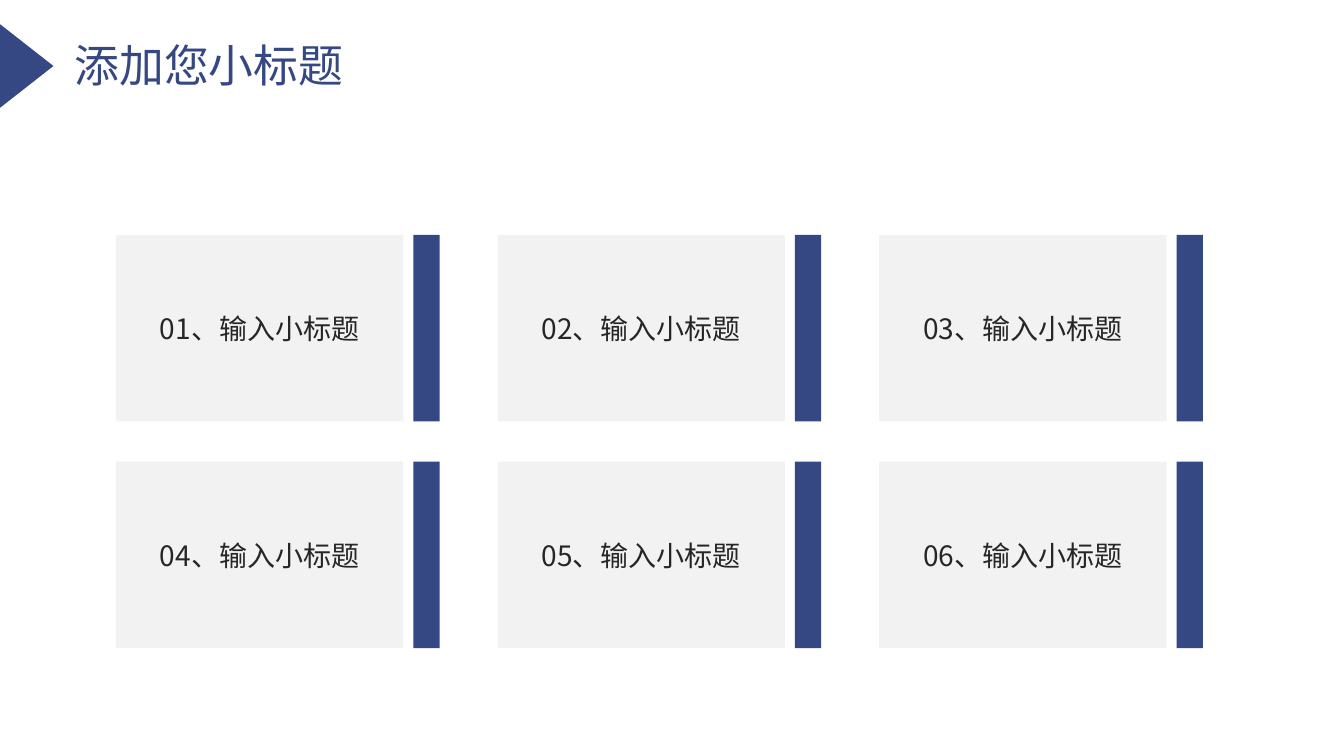
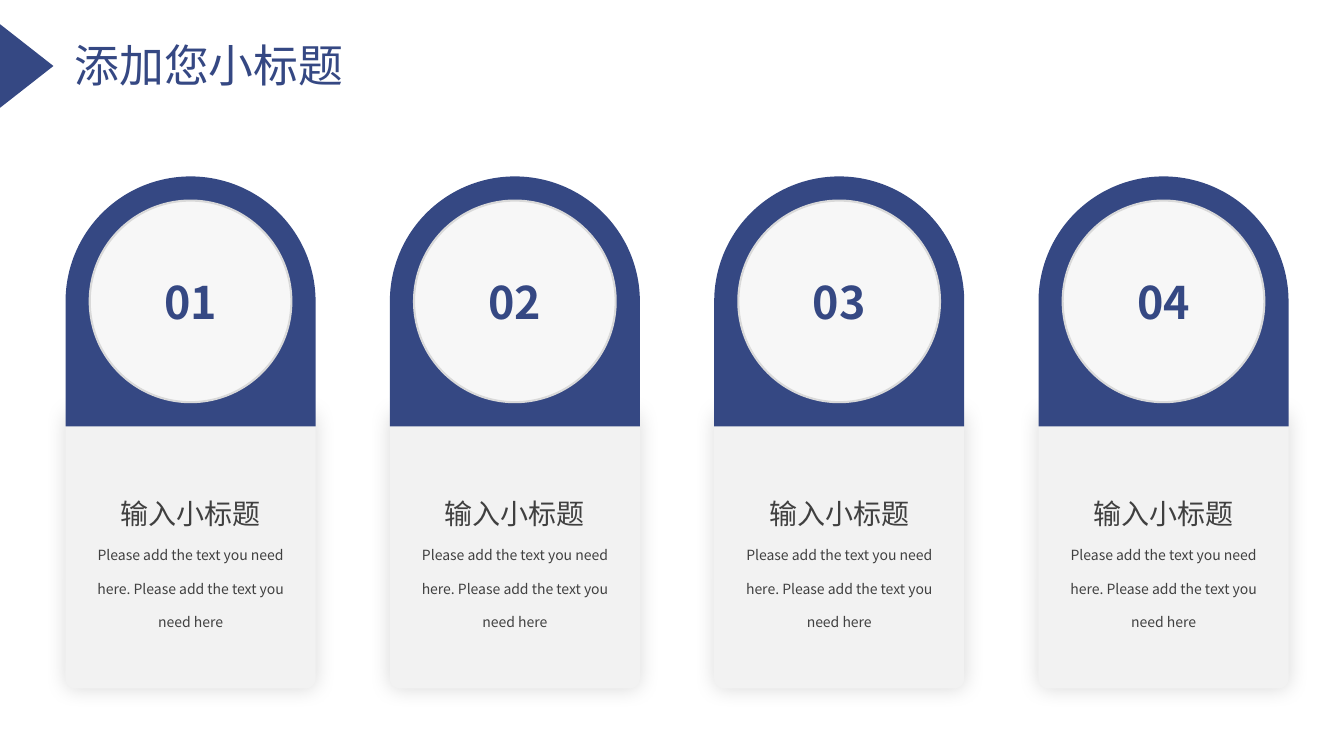
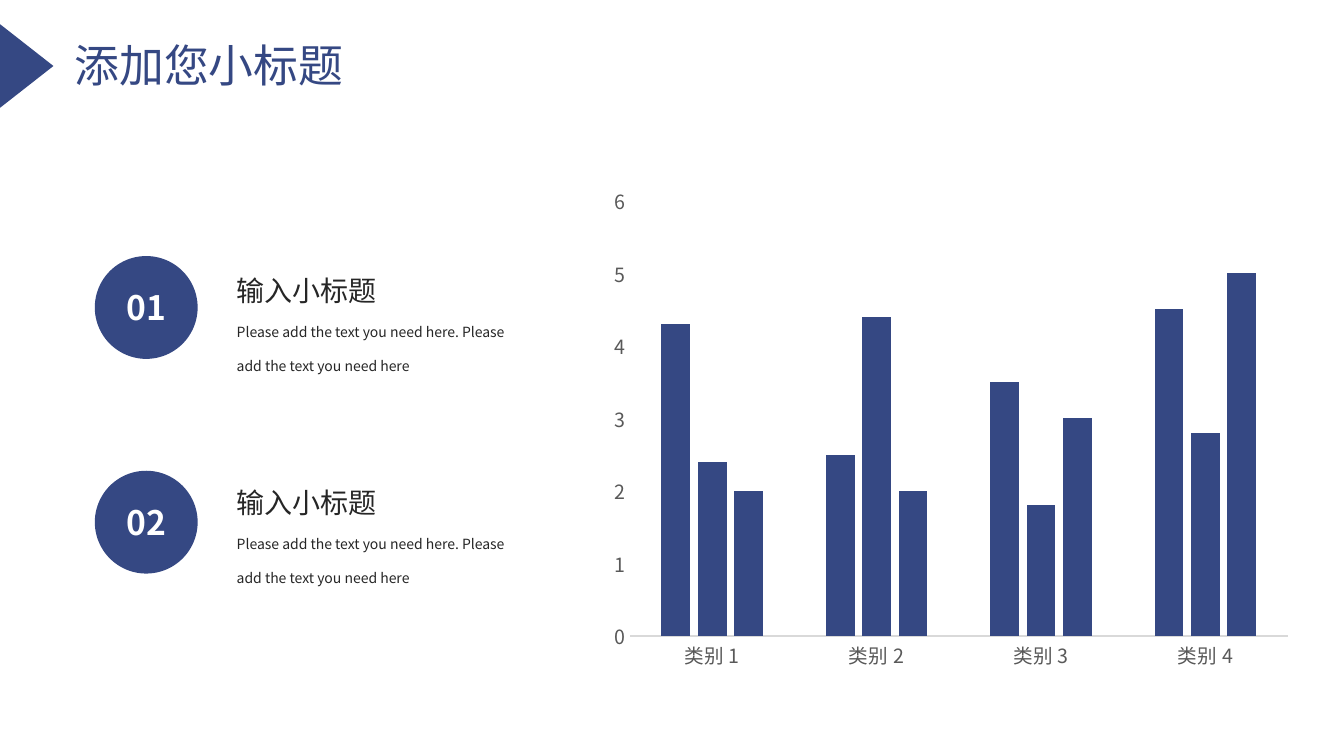
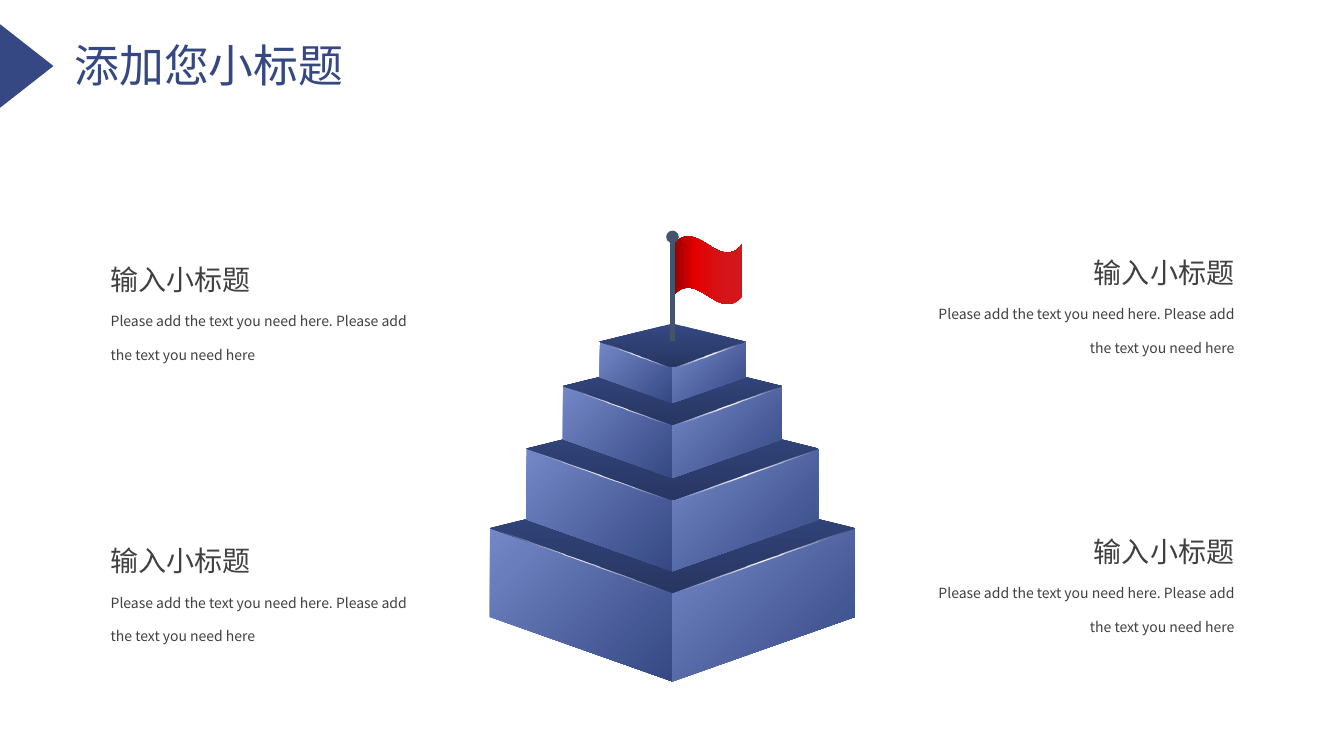
"""Build a four-slide business deck with cards, a column chart and a stepped pyramid."""
from dataclasses import dataclass

from lxml.etree import SubElement
from pptx import Presentation
from pptx.chart.data import CategoryChartData
from pptx.dml.color import RGBColor
from pptx.enum.chart import XL_CHART_TYPE, XL_TICK_MARK
from pptx.enum.shapes import MSO_CONNECTOR, MSO_SHAPE
from pptx.enum.text import MSO_ANCHOR, MSO_AUTO_SIZE, PP_ALIGN
from pptx.oxml import parse_xml
from pptx.oxml.ns import nsdecls, qn
from pptx.shapes.autoshape import Shape
from pptx.slide import Slide
from pptx.text.text import TextFrame
from pptx.util import Inches, Pt

FONT = "Noto Sans CJK SC"
NAVY = RGBColor(0x35, 0x48, 0x83)
DEEP_NAVY = RGBColor(0x28, 0x36, 0x62)
PERIWINKLE = RGBColor(0x74, 0x88, 0xC7)
SLATE = RGBColor(0x44, 0x54, 0x6A)
WHITE = RGBColor(0xFF, 0xFF, 0xFF)
PANEL_GRAY = RGBColor(0xF2, 0xF2, 0xF2)
DISC_GRAY = RGBColor(0xF7, 0xF7, 0xF7)
RULE_GRAY = RGBColor(0xD9, 0xD9, 0xD9)
AXIS_GRAY = RGBColor(0x59, 0x59, 0x59)
TEXT_GRAY = RGBColor(0x40, 0x40, 0x40)
TEXT_DARK = RGBColor(0x26, 0x26, 0x26)
FLAG_SHADE = RGBColor(0x96, 0x00, 0x00)
FLAG_RED = RGBColor(0xE2, 0x00, 0x00)
FLAG_EDGE = RGBColor(0xD4, 0x16, 0x1A)

TITLE = "添加您小标题"
HEADING = "输入小标题"
BODY = "Please add the text you need here. Please add the text you need here"


@dataclass(frozen=True)
class Area:
    """A rectangle in inches."""

    left: float
    top: float
    width: float
    height: float

    def lengths(self) -> tuple:
        """Return the four measures as lengths."""
        return tuple(Inches(n) for n in (self.left, self.top, self.width, self.height))


@dataclass(frozen=True)
class Stop:
    """A gradient stop with position and opacity in percent."""

    position: int
    color: RGBColor
    opacity: int = 100


@dataclass(frozen=True)
class Tier:
    """A pyramid step, its size relative to the lowest one."""

    back: float
    scale: float
    glint: float


TIERS = (Tier(4.79, 1, 1.81), Tier(4.09, 0.8, 1.43), Tier(3.56, 0.6, 1.06), Tier(3.21, 0.4, 0.64))
FACE = (Stop(0, PERIWINKLE), Stop(100, NAVY))
ROOF = (Stop(0, NAVY), Stop(100, DEEP_NAVY))
GLINT = (Stop(0, WHITE), Stop(100, WHITE, 0))
FLAG = (Stop(0, FLAG_SHADE), Stop(30, FLAG_RED), Stop(77, FLAG_EDGE))


def write(frame: TextFrame, text: str, *, size: int, color: RGBColor, bold: bool = False,
          align: PP_ALIGN = PP_ALIGN.LEFT, spacing: float = 1.0) -> None:
    """Add a formatted paragraph, using the first one while it is empty."""
    para = frame.add_paragraph() if frame.text else frame.paragraphs[0]
    para.alignment = align
    para.line_spacing = spacing
    span = para.add_run()
    span.text = text
    span.font.size = Pt(size)
    span.font.bold = bold
    span.font.color.rgb = color
    span.font.name = FONT
    SubElement(span.font._element, qn("a:ea"), typeface=FONT)


def add_text_box(page: Slide, area: Area) -> TextFrame:
    """Add a wrapping text box and return its frame."""
    frame = page.shapes.add_textbox(*area.lengths()).text_frame
    frame.word_wrap = True
    frame.auto_size = MSO_AUTO_SIZE.SHAPE_TO_FIT_TEXT
    return frame


def add_solid(shapes, kind: MSO_SHAPE, area: Area, color: RGBColor) -> Shape:
    """Add a plain filled preset shape."""
    shape = shapes.add_shape(kind, *area.lengths())
    shape.shadow.inherit = False
    shape.fill.solid()
    shape.fill.fore_color.rgb = color
    shape.line.fill.background()
    shape.text_frame.vertical_anchor = MSO_ANCHOR.MIDDLE
    return shape


def fill_gradient(shape: Shape, stops: tuple[Stop, ...], angle: int | None = None) -> None:
    """Fill a shape with a linear gradient, or a radial one without an angle."""
    marks = "".join(
        f'<a:gs pos="{stop.position * 1000}"><a:srgbClr val="{stop.color}">'
        f'<a:alpha val="{stop.opacity * 1000}"/></a:srgbClr></a:gs>'
        for stop in stops
    )
    if angle is None:
        course = ('<a:path path="circle"><a:fillToRect l="50000" t="50000" '
                  'r="50000" b="50000"/></a:path>')
    else:
        course = f'<a:lin ang="{angle * 60000}" scaled="0"/>'
    shape.fill.gradient()
    properties = shape.element.spPr
    properties.replace(
        properties.find(qn("a:gradFill")),
        parse_xml(f'<a:gradFill {nsdecls("a")} rotWithShape="1">'
                  f"<a:gsLst>{marks}</a:gsLst>{course}</a:gradFill>"),
    )


def add_glow(shape: Shape, *, blur: int, opacity: int) -> None:
    """Give a shape a soft black shadow on all sides."""
    effects = shape.element.spPr.find(qn("a:effectLst"))
    shadow = SubElement(effects, qn("a:outerShdw"), blurRad=str(Pt(blur)), dist="0", dir="0",
                        algn="ctr", rotWithShape="0")
    black = SubElement(shadow, qn("a:srgbClr"), val="000000")
    SubElement(black, qn("a:alpha"), val=str(opacity * 1000))


def add_page(deck: Presentation) -> Slide:
    """Add a blank slide with the shared title and pointer."""
    page = deck.slides.add_slide(deck.slide_layouts[6])
    write(add_text_box(page, Area(0.64, 0.33, 3.39, 0.64)), TITLE, size=32, color=NAVY)
    pointer = add_solid(page.shapes, MSO_SHAPE.ISOSCELES_TRIANGLE,
                        Area(-0.15, 0.39, 0.83, 0.53), NAVY)
    pointer.rotation = 90
    return page


def add_note(page: Slide, area: Area, *, color: RGBColor,
             align: PP_ALIGN = PP_ALIGN.LEFT) -> None:
    """Add a heading with body text below it."""
    frame = add_text_box(page, area)
    for text, size in ((HEADING, 20), (BODY, 10)):
        write(frame, text, size=size, color=color, align=align, spacing=2.0)


def add_contents(deck: Presentation) -> None:
    """Add the slide with a grid of numbered panels."""
    page = add_page(deck)
    column_pitch = (8.72 - 1.15) / 2
    for index in range(6):
        row, column = divmod(index, 3)
        left, top = 1.15 + column * column_pitch, 2.33 + row * 2.25
        panel = add_solid(page.shapes, MSO_SHAPE.RECTANGLE, Area(left, top, 2.85, 1.85), PANEL_GRAY)
        write(panel.text_frame, f"{index + 1:02}、{HEADING}", size=20, color=TEXT_DARK,
              align=PP_ALIGN.CENTER)
        add_solid(page.shapes, MSO_SHAPE.RECTANGLE, Area(left + 2.95, top, 0.26, 1.85), NAVY)


def add_cards(deck: Presentation) -> None:
    """Add the slide with four arched cards."""
    page = add_page(deck)
    pitch = (10.3 - 0.65) / 3
    for index in range(4):
        left = 0.65 + index * pitch
        card = add_solid(page.shapes, MSO_SHAPE.ROUNDED_RECTANGLE,
                         Area(left, 4.09, 2.48, 2.74), PANEL_GRAY)
        card.adjustments[0] = 0.04
        add_glow(card, blur=15, opacity=14)
        arch = add_solid(page.shapes, MSO_SHAPE.ROUND_2_SAME_RECTANGLE,
                         Area(left, 1.75, 2.48, 2.48), NAVY)
        arch.adjustments[0] = 0.5
        disc = add_solid(page.shapes, MSO_SHAPE.OVAL, Area(left + 0.24, 1.99, 2, 2), DISC_GRAY)
        disc.line.color.rgb = RULE_GRAY
        disc.line.width = Pt(1.5)
        write(disc.text_frame, f"{index + 1:02}", size=32, color=NAVY, bold=True,
              align=PP_ALIGN.CENTER)
        add_note(page, Area(left + 0.18, 4.54, 2.12, 1.78), color=TEXT_GRAY,
                 align=PP_ALIGN.CENTER)


def add_column_chart(page: Slide, area: Area) -> None:
    """Add the clustered column chart."""
    data = CategoryChartData()
    data.categories = [f"类别 {number}" for number in range(1, 5)]
    rows = ((4.3, 2.5, 3.5, 4.5), (2.4, 4.4, 1.8, 2.8), (2, 2, 3, 5))
    for number, values in enumerate(rows, 1):
        data.add_series(f"Series {number}", values)
    chart = page.shapes.add_chart(XL_CHART_TYPE.COLUMN_CLUSTERED, *area.lengths(), data).chart
    chart.has_legend = False
    chart.has_title = False
    chart.font.name = FONT
    chart.font.size = Pt(14)
    plot = chart.plots[0]
    plot.gap_width = 219
    plot.overlap = -27
    plot.vary_by_categories = False
    for series in plot.series:
        series.format.fill.solid()
        series.format.fill.fore_color.rgb = NAVY
    for axis in (chart.category_axis, chart.value_axis):
        axis.has_major_gridlines = False
        axis.major_tick_mark = axis.minor_tick_mark = XL_TICK_MARK.NONE
        axis.tick_labels.font.name = FONT
        axis.tick_labels.font.size = Pt(14)
        axis.tick_labels.font.color.rgb = AXIS_GRAY
    chart.category_axis.format.line.color.rgb = RULE_GRAY
    chart.category_axis.format.line.width = Pt(0.75)
    chart.value_axis.format.line.fill.background()
    chart.value_axis.minimum_scale = 0
    chart.value_axis.maximum_scale = 6
    chart.value_axis.major_unit = 1


def add_figures(deck: Presentation) -> None:
    """Add the slide with two numbered notes beside the chart."""
    page = add_page(deck)
    add_column_chart(page, Area(5.96, 1.75, 6.95, 4.98))
    for label, disc_top, note_top in (("01", 2.54, 2.33), ("02", 4.67, 4.43)):
        disc = add_solid(page.shapes, MSO_SHAPE.OVAL, Area(0.94, disc_top, 1.02, 1.02), NAVY)
        write(disc.text_frame, label, size=24, color=WHITE, bold=True, align=PP_ALIGN.CENTER)
        add_note(page, Area(2.25, note_top, 3.1, 1.45), color=TEXT_DARK)


def add_facet(shapes, points: list[tuple[float, float]], stops: tuple[Stop, ...],
              angle: int) -> None:
    """Add a closed polygon with a gradient fill."""
    corners = [(Inches(x), Inches(y)) for x, y in points]
    builder = shapes.build_freeform(*corners[0])
    builder.add_line_segments(corners[1:], close=True)
    facet = builder.convert_to_shape()
    facet.shadow.inherit = False
    facet.line.fill.background()
    fill_gradient(facet, stops, angle)


def add_tier(page: Slide, tier: Tier, center: float) -> None:
    """Add one pyramid step as a group."""
    shapes = page.shapes.add_group_shape().shapes
    half, depth = 1.81 * tier.scale, 0.88 * tier.scale
    rim, front = tier.back + 0.45 * tier.scale, tier.back + 1.09 * tier.scale
    for side in (-1, 1):
        outer = center + side * half
        add_facet(shapes, [(center, front + depth), (outer, rim + depth), (outer, rim),
                           (center, front)], FACE, 45)
    add_facet(shapes, [(center, tier.back), (center - half, rim), (center, front),
                       (center + half, rim)], ROOF, 90)
    for side in (1, -1):
        middle = center + side * half / 2
        glint = add_solid(shapes, MSO_SHAPE.ROUNDED_RECTANGLE,
                          Area(middle - tier.glint / 2, (rim + front) / 2, tier.glint, 0.01), WHITE)
        glint.adjustments[0] = 0.5
        glint.rotation = -19.6 * side
        fill_gradient(glint, GLINT)


def add_flagpole(page: Slide, center: float) -> None:
    """Add the pole with a round top."""
    pole = page.shapes.add_connector(MSO_CONNECTOR.STRAIGHT, Inches(center), Inches(3.38),
                                     Inches(center), Inches(2.35))
    pole.line.color.rgb = SLATE
    pole.line.width = Pt(3)
    SubElement(pole.line._get_or_add_ln(), qn("a:tailEnd"), type="oval")
    SubElement(pole.element.spPr, qn("a:effectLst"))


def add_pyramid(deck: Presentation) -> None:
    """Add the slide with the flagged pyramid and four notes."""
    page = add_page(deck)
    center = 6.67
    flag = add_solid(page.shapes, MSO_SHAPE.WAVE, Area(6.68, 2.34, 0.68, 0.68), FLAG_RED)
    fill_gradient(flag, FLAG, 0)
    for tier in TIERS:
        add_tier(page, tier, center)
    add_flagpole(page, center)
    for left, tops, align in ((1, (2.22, 5.01), PP_ALIGN.LEFT),
                              (9.2, (2.15, 4.92), PP_ALIGN.RIGHT)):
        for top in tops:
            add_note(page, Area(left, top, 3.14, 1.45), color=TEXT_GRAY, align=align)


def main() -> None:
    """Build and save the deck."""
    deck = Presentation()
    deck.slide_width, deck.slide_height = Inches(13.33), Inches(7.5)
    for add_slide in (add_contents, add_cards, add_figures, add_pyramid):
        add_slide(deck)
    deck.save("out.pptx")


if __name__ == "__main__":
    main()
